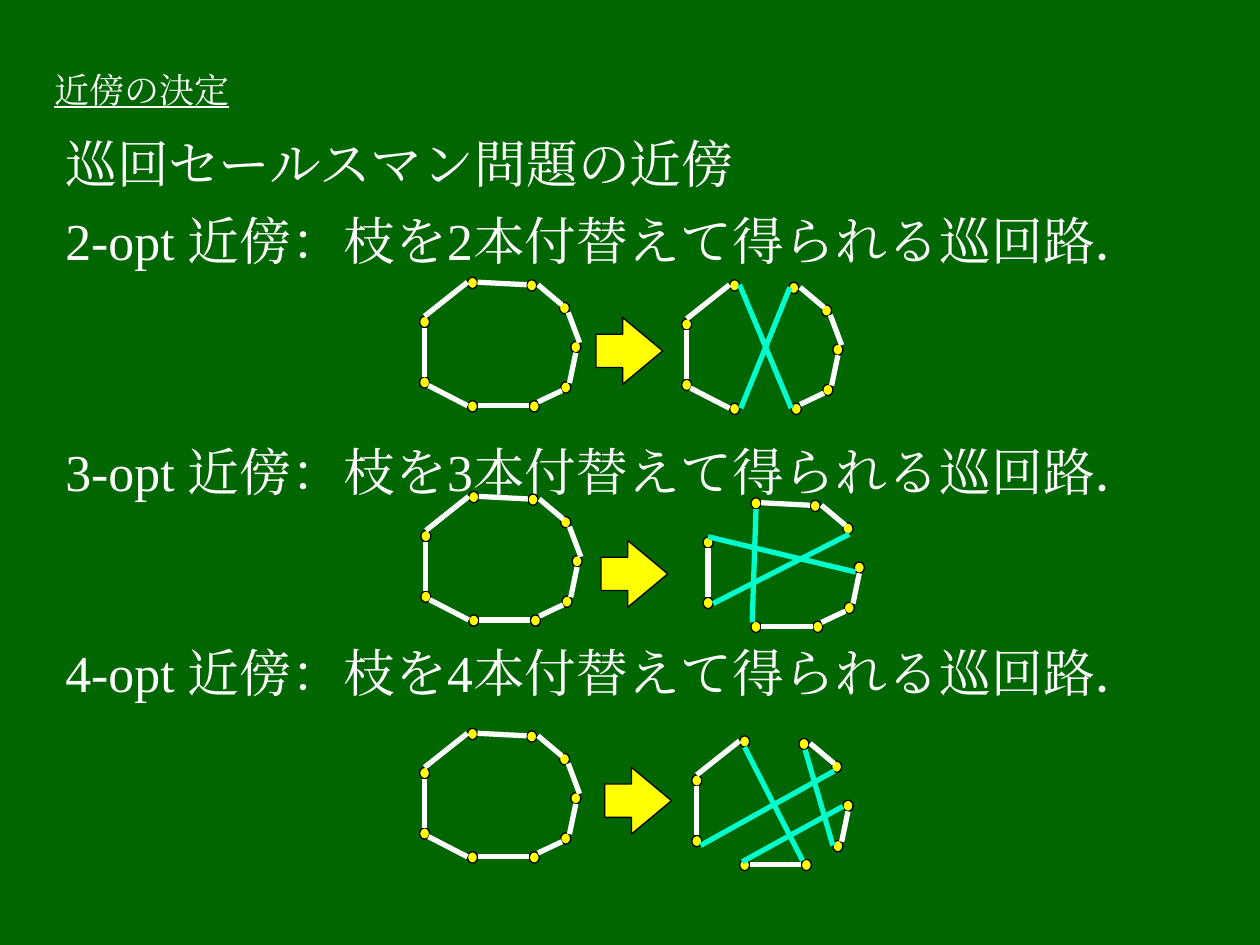
from lxml.etree import SubElement
from pptx import Presentation
from pptx.dml.color import RGBColor
from pptx.enum.shapes import MSO_CONNECTOR, MSO_SHAPE
from pptx.enum.text import MSO_ANCHOR, MSO_AUTO_SIZE, PP_ALIGN
from pptx.oxml.ns import qn
from pptx.util import Inches, Pt

GREEN = RGBColor(0x00, 0x66, 0x00)
WHITE = RGBColor(0xFF, 0xFF, 0xFF)
YELLOW = RGBColor(0xFF, 0xFF, 0x00)
BLACK = RGBColor(0x00, 0x00, 0x00)
AQUA = RGBColor(0x00, 0xFF, 0xCC)
FONT = "Times New Roman"

TITLE = "近傍の決定"
LINES = [("巡回セールスマン問題の近傍", 1)] + [
    (f"{count}-opt 近傍：枝を{count}本付替えて得られる巡回路．", spacing)
    for count, spacing in ((2, 1), (3, 3.5), (4, 3))
]

CITY_SIZE = (0.08, 0.09)
CITIES = [
    (0.38, 0), (0.85, 0.02), (1.11, 0.2), (1.2, 0.51), (1.12, 0.83),
    (0.87, 0.98), (0.38, 0.98), (0, 0.79), (0, 0.31),
]
BRANCHES = {
    "AB": (0.46, 0.04, 0.85, 0.06),
    "BC": (0.94, 0.06, 1.13, 0.22),
    "CD": (1.18, 0.28, 1.27, 0.52),
    "DE": (1.24, 0.6, 1.19, 0.84),
    "EF": (1.13, 0.9, 0.94, 0.99),
    "FG": (0.46, 1.02, 0.87, 1.02),
    "GH": (0.07, 0.86, 0.38, 1.02),
    "HI": (0.04, 0.4, 0.04, 0.79),
    "IA": (0.38, 0.04, 0.04, 0.31),
}
ARROW_SIZE = 0.53
EXCHANGES = [
    {
        "before": (3.33, 2.2), "arrow": (4.73, 2.52), "after": (5.41, 2.22),
        "removed": ("AB", "FG"),
        "added": [(0.46, 0.04, 0.87, 1.02), (0.47, 1.02, 0.86, 0.06)],
    },
    {
        "before": (3.34, 3.9), "arrow": (4.77, 4.29), "after": (5.58, 3.95),
        "removed": ("CD", "GH", "IA"),
        "added": [(1.21, 0.59, 0.04, 0.31), (0.42, 0.09, 0.39, 0.99),
                  (0.08, 0.84, 1.16, 0.29)],
    },
    {
        "before": (3.33, 5.78), "arrow": (4.8, 6.09), "after": (5.49, 5.84),
        "removed": ("AB", "CD", "EF", "GH"),
        "added": [(0.42, 0.09, 0.88, 0.99), (1.2, 0.56, 0.4, 1),
                  (0.9, 0.11, 1.12, 0.87), (1.13, 0.28, 0.07, 0.87)],
    },
]


def place(part, left, top, width, height):
    part.left, part.top = Inches(left), Inches(top)
    part.width, part.height = Inches(width), Inches(height)


def style_text(paragraph, size, underline=None):
    paragraph.alignment = PP_ALIGN.LEFT
    for run in paragraph.runs:
        font = run.font
        font.name, font.size, font.underline = FONT, Pt(size), underline
        font.color.rgb = WHITE
        SubElement(run._r.get_or_add_rPr(), qn("a:ea")).set("typeface", FONT)


def add_yellow(group, preset, left, top, width, height):
    mark = group.shapes.add_shape(
        preset, Inches(left), Inches(top), Inches(width), Inches(height))
    mark.shadow.inherit = False
    mark.fill.solid()
    mark.fill.fore_color.rgb = YELLOW
    mark.line.color.rgb = BLACK
    mark.line.width = Pt(0.75)
    return mark


def add_branch(group, origin, ends, color):
    x, y = origin
    x1, y1, x2, y2 = ends
    branch = group.shapes.add_connector(
        MSO_CONNECTOR.STRAIGHT,
        Inches(x + x1), Inches(y + y1), Inches(x + x2), Inches(y + y2))
    branch.line.color.rgb = color
    branch.line.width = Pt(3)
    SubElement(branch._element.spPr, qn("a:effectLst"))


def add_tour(group, origin, removed=(), added=()):
    for x, y in CITIES:
        add_yellow(group, MSO_SHAPE.OVAL, origin[0] + x, origin[1] + y, *CITY_SIZE)
    for name, ends in BRANCHES.items():
        if name not in removed:
            add_branch(group, origin, ends, WHITE)
    for ends in added:
        add_branch(group, origin, ends, AQUA)


def main():
    deck = Presentation()
    deck.slide_width, deck.slide_height = Inches(10), Inches(7.5)
    slide = deck.slides.add_slide(deck.slide_layouts[5])
    slide.background.fill.solid()
    slide.background.fill.fore_color.rgb = GREEN

    title = slide.shapes.title
    place(title, 0.33, 0.5, 8.83, 0.42)
    title.text_frame.text = TITLE
    title.text_frame.auto_size = MSO_AUTO_SIZE.NONE
    title.text_frame.vertical_anchor = MSO_ANCHOR.MIDDLE
    style_text(title.text_frame.paragraphs[0], 20, underline=True)

    body = slide.shapes.add_textbox(
        Inches(0.42), Inches(1), Inches(9.25), Inches(5.67)).text_frame
    body.word_wrap = True
    for index, (line, spacing) in enumerate(LINES):
        paragraph = body.add_paragraph() if index else body.paragraphs[0]
        paragraph.text = line
        paragraph.line_spacing = float(spacing)
        paragraph.space_before = Pt(8 if index else 0)
        style_text(paragraph, 29.6)

    for exchange in EXCHANGES:
        group = slide.shapes.add_group_shape()
        add_tour(group, exchange["before"])
        arrow = add_yellow(group, MSO_SHAPE.RIGHT_ARROW,
                           *exchange["arrow"], ARROW_SIZE, ARROW_SIZE)
        arrow.adjustments[0], arrow.adjustments[1] = 0.5, 0.6
        add_tour(group, exchange["after"], exchange["removed"], exchange["added"])

    deck.save("out.pptx")


if __name__ == "__main__":
    main()
